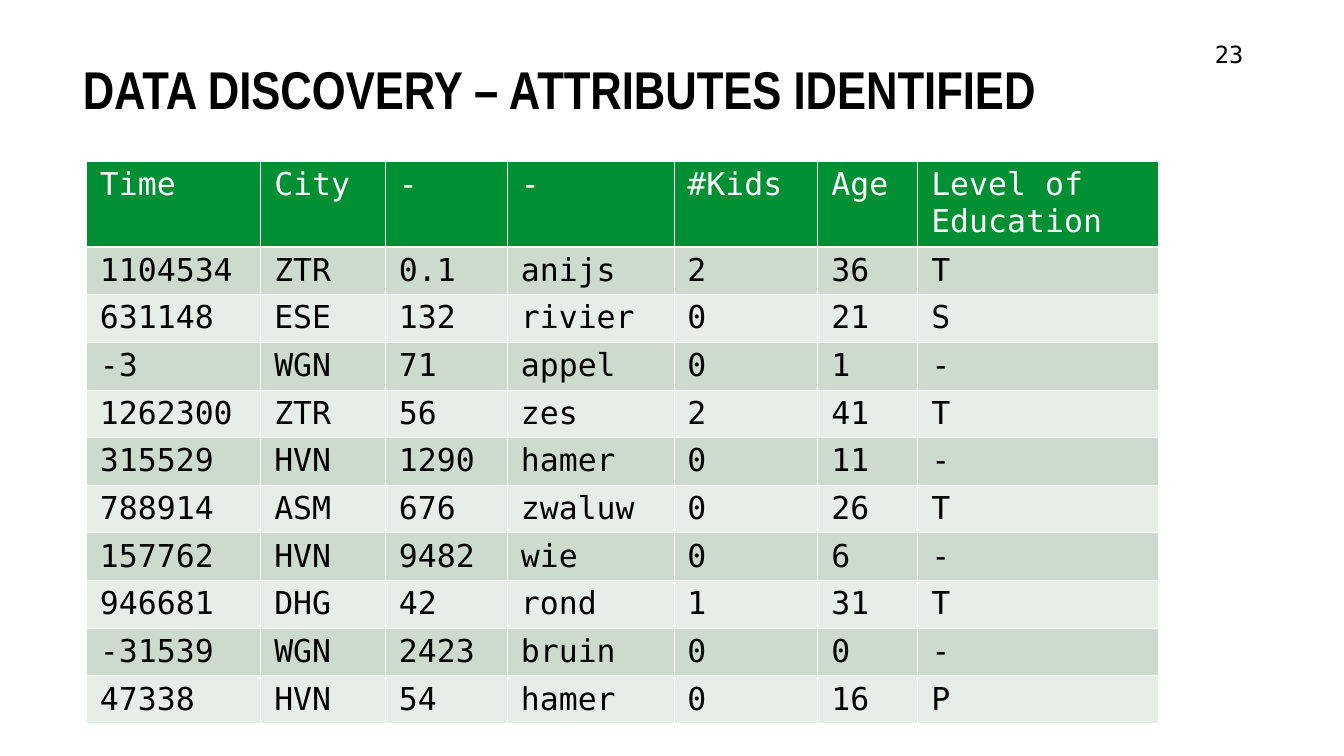
from lxml.etree import SubElement
from pptx import Presentation
from pptx.dml.color import RGBColor
from pptx.enum.text import MSO_ANCHOR
from pptx.oxml.ns import qn
from pptx.util import Pt

COLORS = {
    "text": "000000",
    "header_text": "FFFFFF",
    "border": "FFFFFF",
    "header": "008F33",
    "band_dark": "CCDBCE",
    "band_light": "E7EEE8",
}
MONO = "DejaVu Sans Mono"
TITLE_FONT = {"name": "Arial Narrow", "size": Pt(54), "bold": True}
NUMBER_FONT = {"name": MONO, "size": Pt(24), "bold": False}
CELL_FONT = {"name": MONO, "size": Pt(32), "bold": False}
TEXT_FRAME = {
    "word_wrap": True, "vertical_anchor": MSO_ANCHOR.TOP,
    "margin_left": Pt(7.2), "margin_right": Pt(7.2),
    "margin_top": Pt(3.6), "margin_bottom": Pt(3.6),
}
CELL = {
    "vertical_anchor": MSO_ANCHOR.TOP,
    "margin_left": Pt(13.7), "margin_right": Pt(13.7),
    "margin_top": Pt(5), "margin_bottom": Pt(5),
}

COL_WIDTHS = [177.1, 126.7, 123.8, 169.2, 146.2, 101.5, 244.1]
HEADER_HEIGHT, ROW_HEIGHT = 86, 48
ROWS = [
    ["Time", "City", "-", "-", "#Kids", "Age", "Level of Education"],
    ["1104534", "ZTR", "0.1", "anijs", "2", "36", "T"],
    ["631148", "ESE", "132", "rivier", "0", "21", "S"],
    ["-3", "WGN", "71", "appel", "0", "1", "-"],
    ["1262300", "ZTR", "56", "zes", "2", "41", "T"],
    ["315529", "HVN", "1290", "hamer", "0", "11", "-"],
    ["788914", "ASM", "676", "zwaluw", "0", "26", "T"],
    ["157762", "HVN", "9482", "wie", "0", "6", "-"],
    ["946681", "DHG", "42", "rond", "1", "31", "T"],
    ["-31539", "WGN", "2423", "bruin", "0", "0", "-"],
    ["47338", "HVN", "54", "hamer", "0", "16", "P"],
]


def set_all(obj, values):
    for name, value in values.items():
        setattr(obj, name, value)


def write(p, text, font, color):
    r = p.add_run()
    r.text = text
    set_all(r.font, font)
    r.font.color.rgb = RGBColor.from_string(COLORS[color])


def add_text(s, box, text, font, line_spacing=1.0):
    tf = s.shapes.add_textbox(*map(Pt, box)).text_frame
    set_all(tf, TEXT_FRAME)
    p = tf.paragraphs[0]
    p.line_spacing = line_spacing
    write(p, text, font, "text")


def add_borders(cell, bottom):
    tcPr = cell._tc.get_or_add_tcPr()
    for side, width in {"lnL": 1, "lnR": 1, "lnT": 1, "lnB": bottom}.items():
        ln = SubElement(tcPr, qn(f"a:{side}"), w=str(Pt(width)))
        fill = SubElement(ln, qn("a:solidFill"))
        SubElement(fill, qn("a:srgbClr"), val=COLORS["border"])


def add_data_table(s, left, top):
    height = HEADER_HEIGHT + ROW_HEIGHT * (len(ROWS) - 1)
    table = s.shapes.add_table(len(ROWS), len(COL_WIDTHS), Pt(left), Pt(top),
                               Pt(sum(COL_WIDTHS)), Pt(height)).table
    for column, width in zip(table.columns, COL_WIDTHS):
        column.width = Pt(width)
    for i, values in enumerate(ROWS):
        is_header = i == 0
        table.rows[i].height = Pt(HEADER_HEIGHT if is_header else ROW_HEIGHT)
        band = "header" if is_header else "band_dark" if i % 2 else "band_light"
        for j, text in enumerate(values):
            cell = table.cell(i, j)
            set_all(cell, CELL)
            add_borders(cell, bottom=3 if is_header else 1)
            cell.fill.solid()
            cell.fill.fore_color.rgb = RGBColor.from_string(COLORS[band])
            write(cell.text_frame.paragraphs[0], text, CELL_FONT,
                  "header_text" if is_header else "text")


def main():
    prs = Presentation()
    prs.slide_width, prs.slide_height = Pt(1365.12), Pt(768.24)
    s = prs.slides.add_slide(prs.slide_layouts[6])

    # Title and slide number
    add_text(s, (77, 66.2, 1014.5, 105.8),
             "DATA DISCOVERY – ATTRIBUTES IDENTIFIED", TITLE_FONT, 0.8)
    add_text(s, (1226.9, 37.4, 138.2, 56.2), "23", NUMBER_FONT)

    # Attribute table
    add_data_table(s, 87.8, 164.2)

    prs.save("out.pptx")


if __name__ == "__main__":
    main()
